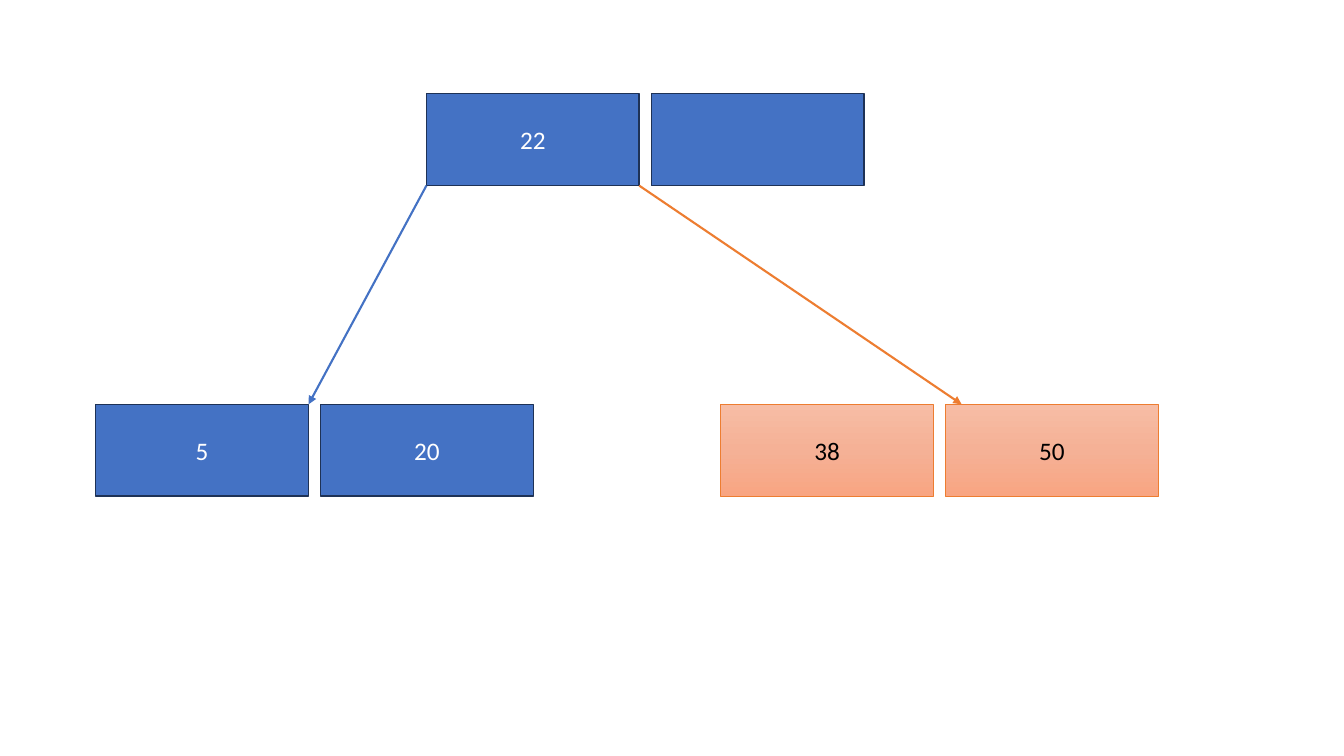
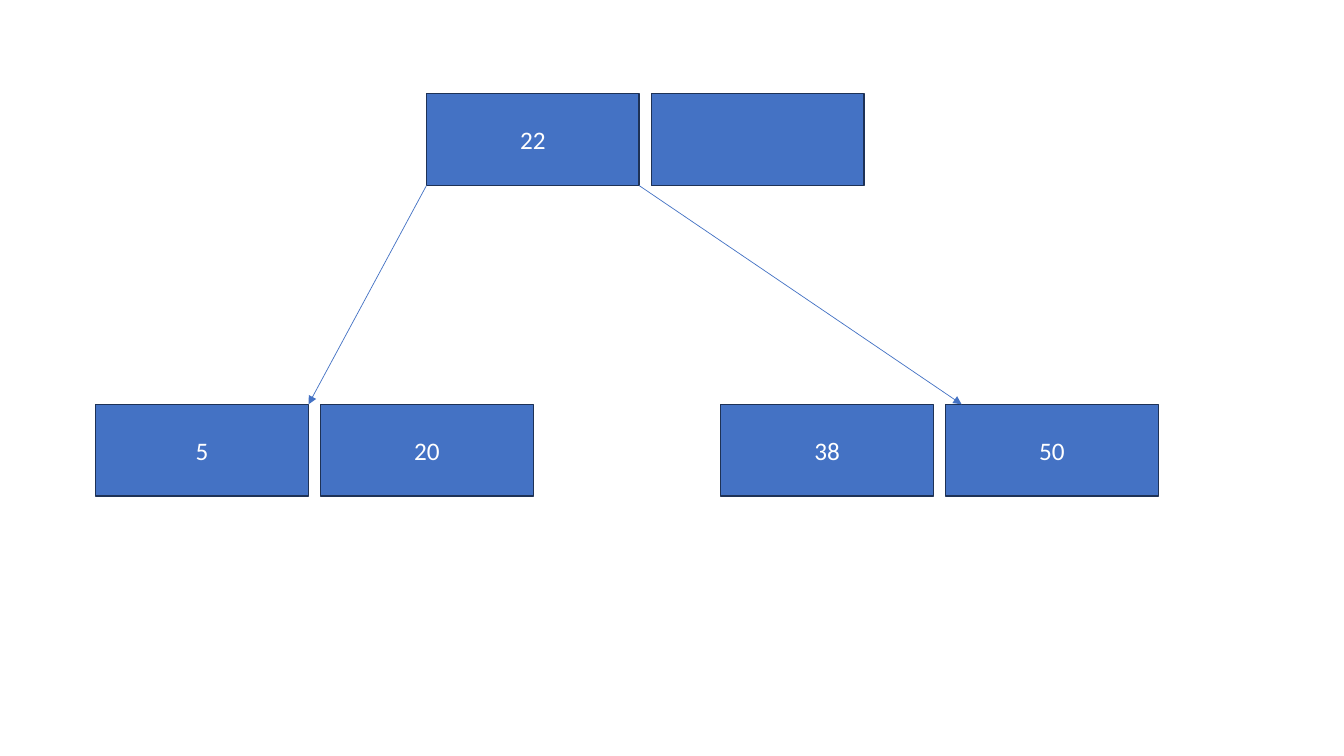
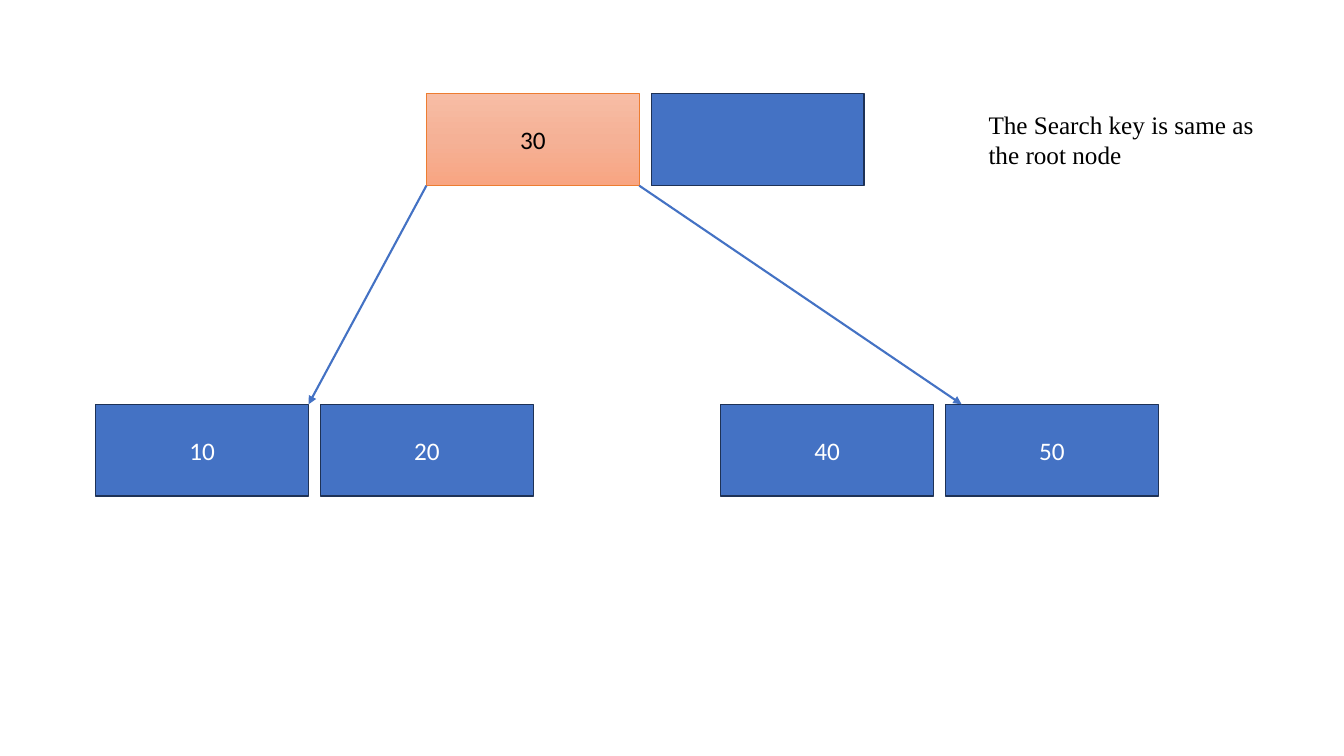
from copy import deepcopy

from lxml.etree import SubElement
from pptx import Presentation
from pptx.dml.color import RGBColor
from pptx.enum.shapes import MSO_CONNECTOR, MSO_SHAPE
from pptx.enum.text import MSO_ANCHOR, MSO_AUTO_SIZE, PP_ALIGN
from pptx.oxml.ns import qn
from pptx.util import Pt

BLUE, NAVY, ORANGE = "4472C4", "1E3256", "ED7D31"
WHITE, BLACK = "FFFFFF", "000000"
PEACH_STOPS = ((0, "F7BDA5"), (0.5, "F5B196"), (1, "F8A582"))
CELL_WIDTH, CELL_HEIGHT, CELL_GAP = 152, 65.6, 8.6
ROOT, LEFT_CHILD, RIGHT_CHILD = (304.6, 67), (68.4, 288.8), (514.8, 288.8)
RIGHT_TIP_INSET = 11.5


def color(hex_code):
    """Turn a hex string into a colour."""
    return RGBColor.from_string(hex_code)


def style_text(frame, font_name, hex_code):
    """Give every run of a frame the shared size with a font and colour."""
    for para in frame.paragraphs:
        for span in para.runs:
            span.font.name = font_name
            span.font.size = Pt(18)
            span.font.color.rgb = color(hex_code)


def fill_peach(shape):
    """Fill a shape with the vertical highlight gradient."""
    shape.fill.gradient()
    shape.fill.gradient_angle = 270
    stop_list = shape.element.spPr.find(qn("a:gradFill")).find(qn("a:gsLst"))
    stop_list.insert(1, deepcopy(stop_list[0]))
    for stop, (position, hex_code) in zip(shape.fill.gradient_stops, PEACH_STOPS):
        stop.position = position
        stop.color.rgb = color(hex_code)


def add_cell(page, left, top, key, highlighted):
    """Draw one key cell of a tree node."""
    cell = page.shapes.add_shape(
        MSO_SHAPE.RECTANGLE, Pt(left), Pt(top), Pt(CELL_WIDTH), Pt(CELL_HEIGHT))
    cell.shadow.inherit = False
    if highlighted:
        fill_peach(cell)
    else:
        cell.fill.solid()
        cell.fill.fore_color.rgb = color(BLUE)
    cell.line.color.rgb = color(ORANGE if highlighted else NAVY)
    cell.line.width = Pt(0.5 if highlighted else 1)
    if key:
        frame = cell.text_frame
        frame.text = key
        frame.vertical_anchor = MSO_ANCHOR.MIDDLE
        frame.paragraphs[0].alignment = PP_ALIGN.CENTER
        style_text(frame, "Calibri", BLACK if highlighted else WHITE)


def add_node(page, corner, keys, highlighted):
    """Draw a node as a row of cells from its top left corner."""
    left, top = corner
    for index, key in enumerate(keys):
        add_cell(page, left + index * (CELL_WIDTH + CELL_GAP), top, key, key in highlighted)


def add_arrow(page, start, end, hex_code, width):
    """Draw a straight arrow between two points."""
    arrow = page.shapes.add_connector(
        MSO_CONNECTOR.STRAIGHT, *(Pt(value) for value in (*start, *end)))
    arrow.line.color.rgb = color(hex_code)
    arrow.line.width = Pt(width)
    SubElement(arrow.line._get_or_add_ln(), qn("a:tailEnd"), type="triangle")
    SubElement(arrow.element.spPr, qn("a:effectLst"))


def add_note(page, left, top, width, height, text):
    """Write a remark beside the tree."""
    box = page.shapes.add_textbox(Pt(left), Pt(top), Pt(width), Pt(height))
    frame = box.text_frame
    frame.word_wrap = True
    frame.auto_size = MSO_AUTO_SIZE.SHAPE_TO_FIT_TEXT
    frame.text = text
    style_text(frame, "Times New Roman", BLACK)


def add_tree(deck, root, left, right, highlighted=(), arrow_width=1.5, right_color=BLUE):
    """Add a slide with a root node, two children and their arrows."""
    page = deck.slides.add_slide(deck.slide_layouts[6])
    for corner, keys in ((ROOT, (root, "")), (LEFT_CHILD, left), (RIGHT_CHILD, right)):
        add_node(page, corner, keys, highlighted)
    root_left, root_bottom = ROOT[0], ROOT[1] + CELL_HEIGHT
    left_tip = (LEFT_CHILD[0] + CELL_WIDTH, LEFT_CHILD[1])
    right_tip = (RIGHT_CHILD[0] + CELL_WIDTH + CELL_GAP + RIGHT_TIP_INSET, RIGHT_CHILD[1])
    add_arrow(page, (root_left, root_bottom), left_tip, BLUE, arrow_width)
    add_arrow(page, (root_left + CELL_WIDTH, root_bottom), right_tip, right_color, arrow_width)
    return page


def main():
    """Build and save the deck."""
    deck = Presentation()
    deck.slide_width, deck.slide_height = Pt(960), Pt(540)
    add_tree(deck, "22", ("5", "20"), ("38", "50"), ("38", "50"), right_color=ORANGE)
    add_tree(deck, "22", ("5", "20"), ("38", "50"), arrow_width=0.5)
    page = add_tree(deck, "30", ("10", "20"), ("40", "50"), ("30",))
    add_note(page, 699, 74.2, 212.4, 51, "The Search key is same as the root node")
    deck.save("out.pptx")


if __name__ == "__main__":
    main()
